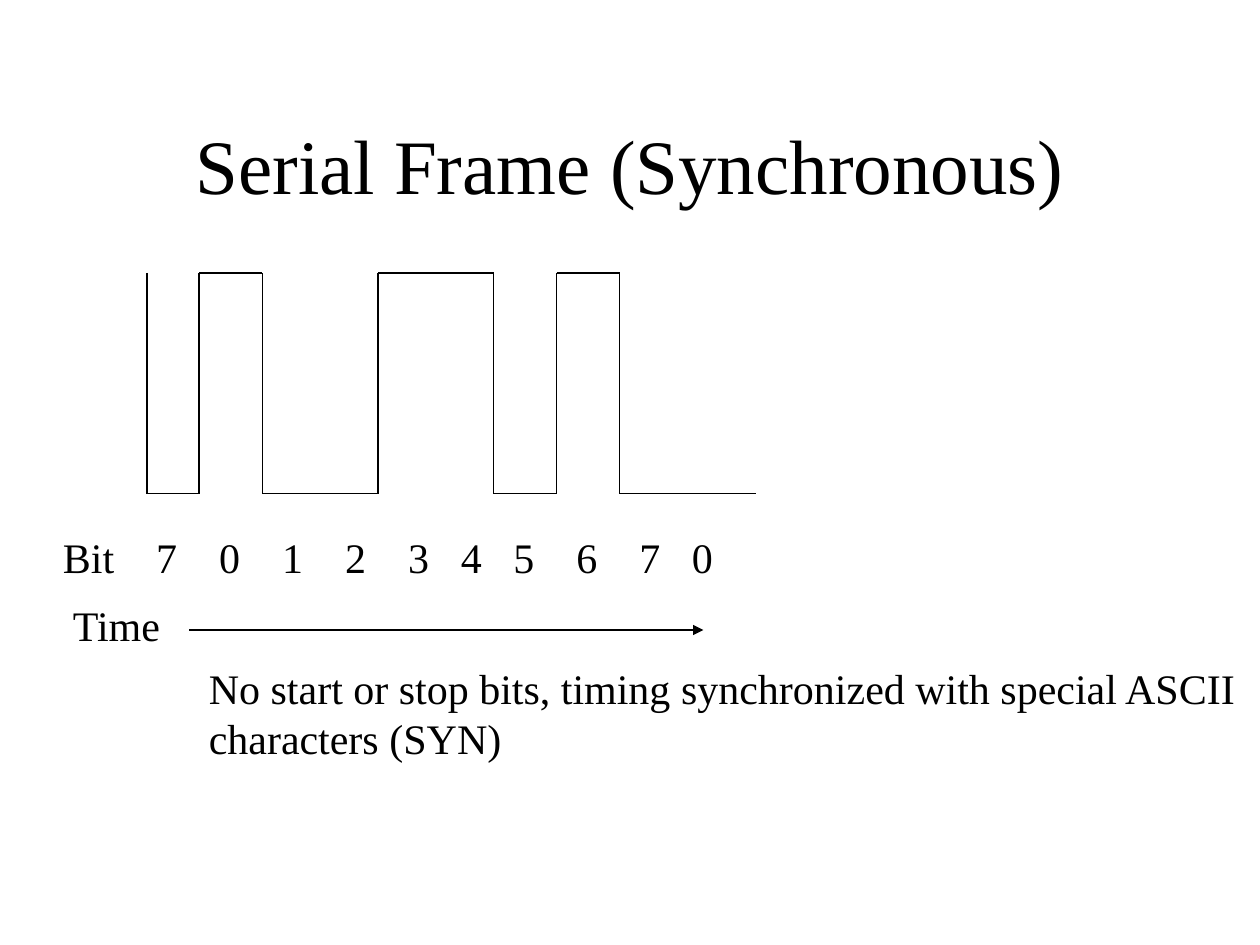
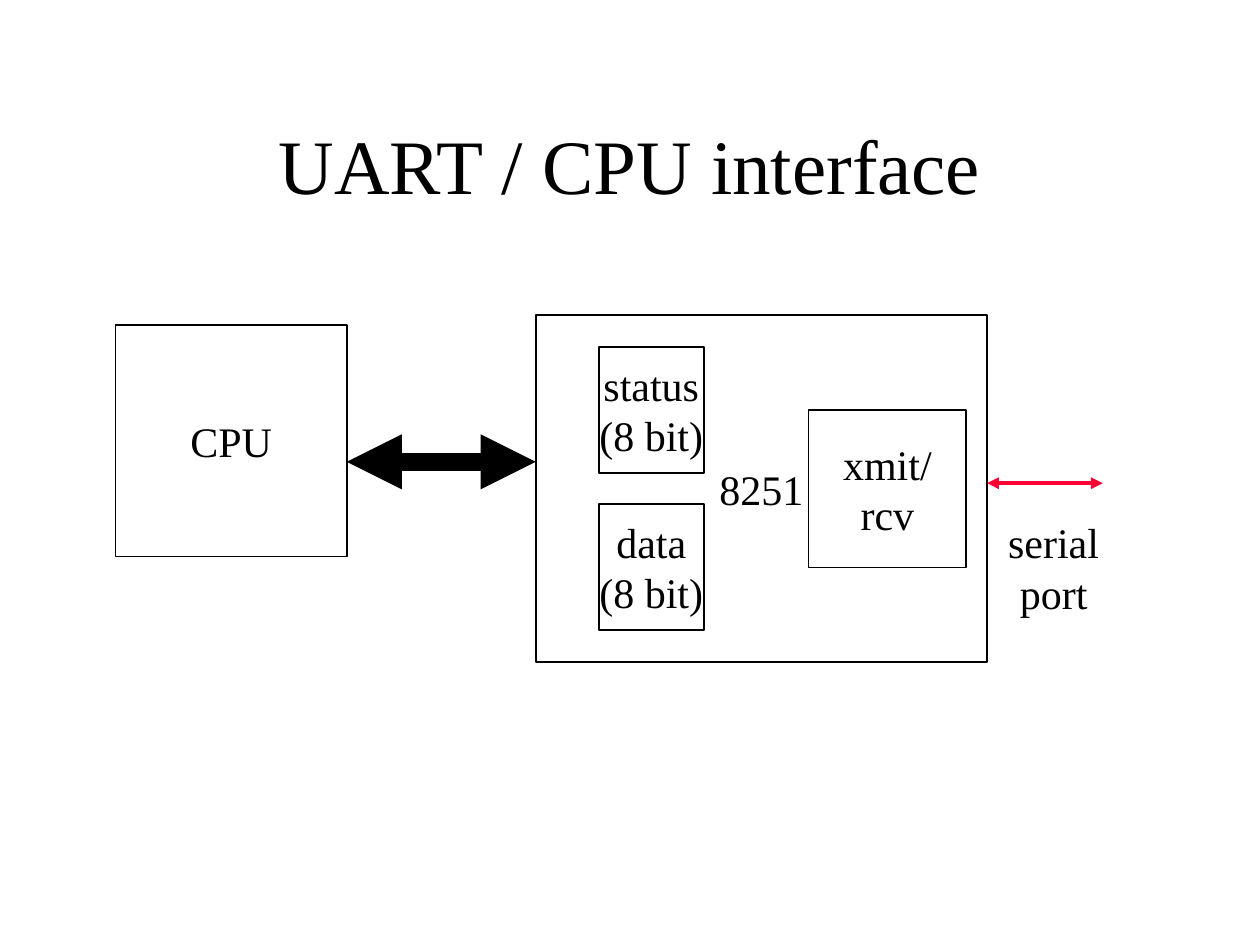
from itertools import accumulate

from pptx import Presentation
from pptx.dml.color import RGBColor
from pptx.enum.shapes import MSO_CONNECTOR, MSO_SHAPE
from pptx.enum.text import MSO_ANCHOR, MSO_AUTO_SIZE, PP_ALIGN
from pptx.oxml.ns import qn
from pptx.util import Cm, Pt
from lxml.etree import SubElement

FONT = "Times New Roman"
BLACK, WHITE, RED = "000000", "FFFFFF", "FF0033"

# Slide 1, lengths in cm
FRAME_TITLE = "Serial Frame (Synchronous)"
HIGH, LOW = 5.5, 9.95
EDGES = [2.96, 4.02, 5.29, 7.62, 9.95, 11.22, 12.49]  # where the signal flips
SIGNAL_END = 15.24
BITS = ["Bit", "7", "0", "1", "2", "3", "4", "5", "6", "7", "0"]
WIDE, NARROW = 1.27, 1.06
BIT_GAPS = [1.88, WIDE, WIDE, WIDE, WIDE, NARROW, NARROW, WIDE, WIDE, NARROW]
FRAME_LABELS = [  # lines, left, top, width, height
    (["No start or stop bits, timing synchronized with special ASCII",
      "characters (SYN)"], 3.96, 13.23, 21.4, 3.3),
    (["Time"], 1.22, 11.96, 2.4, 1.27),
]
TIME_ARROW = [(3.81, 12.7), (14.18, 12.7)]

# Slide 2, lengths in cm
UART_TITLE = "UART / CPU interface"
BLOCKS = [  # lines, left, top, width, height, fill
    (["CPU"], 2.33, 6.56, 4.66, 4.66, None),
    (["8251"], 10.8, 6.35, 9.1, 6.99, None),
    (["status", "(8 bit)"], 12.07, 6.99, 2.12, 2.54, WHITE),
    (["data", "(8 bit)"], 12.07, 10.16, 2.12, 2.54, WHITE),
    (["xmit/", "rcv"], 16.3, 8.26, 3.18, 3.18, None),
]
BUSES = [  # from, to, colour, width in points
    ((6.99, 9.31), (10.8, 9.31), BLACK, 10.5),
    ((19.9, 9.74), (22.23, 9.74), RED, 2.25),
]
PORT_LABEL = (["serial", "port"], 20.07, 10.29, 2.34, 2.29)


def color(hex_text):
    return RGBColor.from_string(hex_text)


def add_text(p, text, size=24):
    r = p.add_run()
    r.text = text
    r.font.name, r.font.size = FONT, Pt(size)
    r.font.color.rgb = color(BLACK)


def fill_lines(tf, lines, align):
    for i, line in enumerate(lines):
        p = tf.add_paragraph() if i else tf.paragraphs[0]
        p.alignment = align
        add_text(p, line)


def new_slide(prs, title):
    slide = prs.slides.add_slide(prs.slide_layouts[5])
    sp = slide.shapes.title
    sp.left, sp.top, sp.width, sp.height = Cm(1.9), Cm(1.7), Cm(21.6), Cm(3.18)
    tf = sp.text_frame
    tf.auto_size, tf.vertical_anchor = MSO_AUTO_SIZE.NONE, MSO_ANCHOR.MIDDLE
    p = tf.paragraphs[0]
    p.alignment = PP_ALIGN.CENTER
    add_text(p, title, 44)
    return slide


def add_label(slide, lines, x, y, w, h, align=PP_ALIGN.LEFT):
    tf = slide.shapes.add_textbox(Cm(x), Cm(y), Cm(w), Cm(h)).text_frame
    tf.word_wrap = True
    fill_lines(tf, lines, align)
    return tf


def add_line(slide, start, end, hex_text=BLACK, width=1, arrows=()):
    """Draw a straight line; arrows names its pointed ends (headEnd, tailEnd)."""
    points = [Cm(v) for v in (*start, *end)]
    cxn = slide.shapes.add_connector(MSO_CONNECTOR.STRAIGHT, *points)
    cxn.line.color.rgb, cxn.line.width = color(hex_text), Pt(width)
    ln = cxn.line._get_or_add_ln()
    for end_name in arrows:
        SubElement(ln, qn(f"a:{end_name}"), type="triangle")
    SubElement(cxn._element.spPr, qn("a:effectLst"))


def add_block(slide, lines, x, y, w, h, fill):
    sp = slide.shapes.add_shape(MSO_SHAPE.RECTANGLE, Cm(x), Cm(y), Cm(w), Cm(h))
    sp.shadow.inherit = False
    if fill:
        sp.fill.solid()
        sp.fill.fore_color.rgb = color(fill)
    else:
        sp.fill.background()
    sp.line.color.rgb, sp.line.width = color(BLACK), Pt(1)
    tf = sp.text_frame
    tf.word_wrap, tf.vertical_anchor = False, MSO_ANCHOR.MIDDLE
    fill_lines(tf, lines, PP_ALIGN.CENTER)


def add_signal(slide):
    points = []
    for i, x in enumerate(EDGES):
        levels = (LOW, HIGH) if i % 2 else (HIGH, LOW)
        points += [(x, level) for level in levels]
    points.append((SIGNAL_END, LOW))
    for start, end in zip(points, points[1:]):
        add_line(slide, start, end)


def add_bit_row(slide):
    tf = add_label(slide, [], 1.02, 10.59, 13.8, 1.27)
    p = tf.paragraphs[0]
    tabs = SubElement(p._p.get_or_add_pPr(), qn("a:tabLst"))
    for stop in accumulate(BIT_GAPS):
        SubElement(tabs, qn("a:tab"), pos=str(int(Cm(stop))), algn="l")
    add_text(p, "\t".join(BITS))


def build_frame_slide(prs):
    slide = new_slide(prs, FRAME_TITLE)
    add_signal(slide)
    add_bit_row(slide)
    for label in FRAME_LABELS:
        add_label(slide, *label)
    add_line(slide, *TIME_ARROW, arrows=["tailEnd"])


def build_uart_slide(prs):
    slide = new_slide(prs, UART_TITLE)
    for block in BLOCKS:
        add_block(slide, *block)
    for bus in BUSES:
        add_line(slide, *bus, arrows=["headEnd", "tailEnd"])
    add_label(slide, *PORT_LABEL, align=PP_ALIGN.CENTER)


def main():
    prs = Presentation()
    prs.slide_width, prs.slide_height = Cm(25.4), Cm(19.05)
    build_frame_slide(prs)
    build_uart_slide(prs)
    prs.save("out.pptx")


if __name__ == "__main__":
    main()
